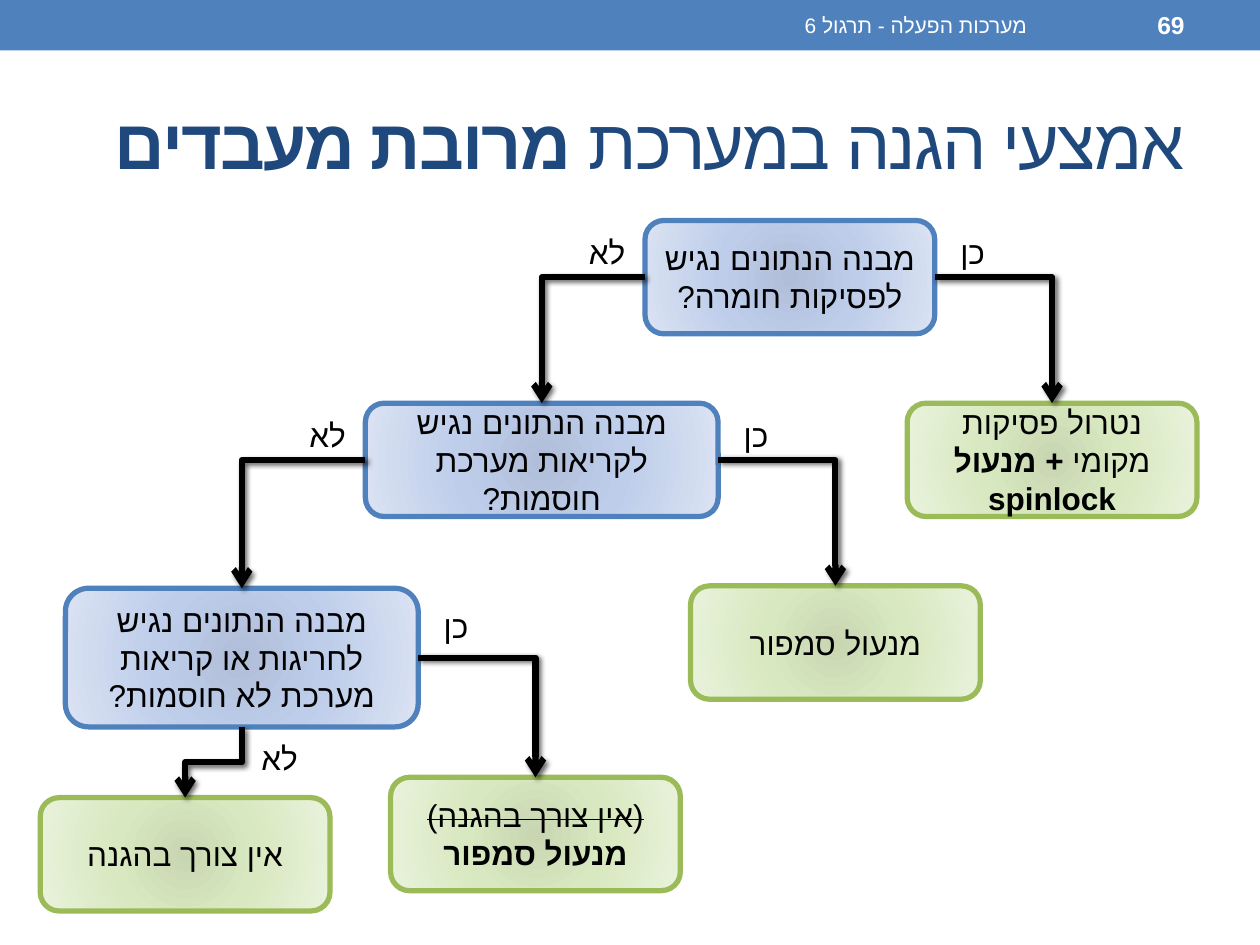
from lxml.etree import SubElement as Sub
from pptx import Presentation
from pptx.dml.color import RGBColor as Rgb
from pptx.enum.shapes import MSO_CONNECTOR as Conn, MSO_SHAPE as Kind
from pptx.enum.text import MSO_ANCHOR as Anchor, PP_ALIGN as Align
from pptx.oxml import parse_xml as to_xml
from pptx.oxml.ns import nsdecls, qn
from pptx.util import Pt

BLUE = ("4F81BD", ("B0BED9", "BECDEA", "DBE3F3"))
GREEN = ("9BBB59", ("C8D7B2", "D8E8C0", "E9F3DC"))
TOP, LEFT, FOOT, RIGHT = range(4)


def color(fmt, code):
    """Set a colour format from a hex string."""
    fmt.rgb = Rgb.from_string(code)


def write(shape, *parts, size=18, ink="000000", align=Align.CENTER,
          anchor=Anchor.MIDDLE, space=0):
    """Write one right-to-left paragraph from (text, style) parts."""
    frame = shape.text_frame
    frame.word_wrap = True
    frame.vertical_anchor = anchor
    para = frame.paragraphs[0]
    para.alignment = align
    para._p.get_or_add_pPr().set("rtl", "1")
    for text, style in parts:
        if text == "\n":
            para.add_line_break()
            continue
        run = para.add_run()
        run.text = text
        font = run.font
        font.name, font.size, font.bold = "Arial", Pt(size), style == "bold"
        color(font.color, ink)
        props = run._r.get_or_add_rPr()
        props.set("lang", "he-IL")
        if style == "strike":
            props.set("strike", "sngStrike")
        if space:
            props.set("spc", str(space))
        Sub(props, qn("a:cs")).set("typeface", "Arial")


def label(slide, x, y, w, h, *parts, **style):
    """Place a text box and write in it."""
    write(slide.shapes.add_textbox(Pt(x), Pt(y), Pt(w), Pt(h)), *parts, **style)


def sign(slide, x, y, word):
    """Place a yes or no label."""
    label(slide, x, y, 43.2, 28.8, (word, ""), anchor=Anchor.TOP)


def box(slide, x, y, w, h, tone, *parts):
    """Draw a rounded box with a radial gradient."""
    edge, shades = tone
    shape = slide.shapes.add_shape(Kind.ROUNDED_RECTANGLE, Pt(x), Pt(y), Pt(w), Pt(h))
    shape.shadow.inherit = False
    stops = "".join(f'<a:gs pos="{pos}"><a:srgbClr val="{shade}"/></a:gs>'
                    for pos, shade in zip((0, 45000, 100000), shades))
    sides = " ".join(f'{side}="100000"' for side in "ltrb")
    shape._element.spPr.insert(2, to_xml(
        f'<a:gradFill {nsdecls("a")} rotWithShape="1"><a:gsLst>{stops}</a:gsLst>'
        f'<a:path path="circle"><a:fillToRect {sides}/></a:path></a:gradFill>'))
    color(shape.line.color, edge)
    shape.line.width = Pt(3)
    write(shape, *parts)
    return shape


def leaf(slide, x, y, *parts):
    """Draw a green answer box."""
    return box(slide, x, y, 165.6, 64.8, GREEN, *parts)


def ask(slide, x, y, w, h, text, gap=3.6, below=False):
    """Draw a blue question box with its yes and no labels."""
    shape = box(slide, x, y, w, h, BLUE, (text, ""))
    sign(slide, x + w, y + gap, "כן")
    if below:
        sign(slide, x + w / 2, y + h + gap / 2, "לא")
    else:
        sign(slide, x - 43.2, y + gap, "לא")
    return shape


def link(slide, start, site, end):
    """Join a side of one box to the top of another with a bent arrow."""
    line = slide.shapes.add_connector(Conn.ELBOW, 0, 0, 0, 0)
    line.begin_connect(start, site)
    line.end_connect(end, TOP)
    color(line.line.color, "000000")
    line.line.width = Pt(3.5)
    props = line._element.spPr
    frame = props.find(qn("a:xfrm"))
    if site == FOOT:
        x, y, w, h = line.left, line.top, line.width, line.height
        line.left, line.top = x + (w - h) // 2, y + (h - w) // 2
        line.width, line.height = h, w
        frame.attrib.pop("flipH", None)
        frame.set("rot", "5400000")
    else:
        props.find(qn("a:prstGeom")).set("prst", "bentConnector2")
        if site == LEFT:
            frame.attrib.pop("flipH", None)
            frame.set("rot", "10800000")
            frame.set("flipV", "1")
    Sub(props.find(qn("a:ln")), qn("a:tailEnd")).set("type", "arrow")
    props.append(to_xml(
        f'<a:effectLst {nsdecls("a")}><a:outerShdw blurRad="{Pt(3)}" dist="{Pt(2)}" '
        'dir="2700000" algn="tl" rotWithShape="0"><a:srgbClr val="000000">'
        '<a:alpha val="60000"/></a:srgbClr></a:outerShdw></a:effectLst>'))


def head(slide, w):
    """Draw the top band, its texts and the title."""
    band = slide.shapes.add_shape(Kind.RECTANGLE, 0, 0, Pt(w), Pt(28.8))
    band.shadow.inherit = False
    band.fill.solid()
    color(band.fill.fore_color, "4F81BD")
    band.line.fill.background()
    label(slide, 270, 1.4, 324, 26, ("מערכות הפעלה - תרגול 6", ""),
          size=12, ink="FFFFFF", align=Align.RIGHT)
    label(slide, 600, 1.4, 84, 26, ("69", "bold"),
          size=14, ink="FFFFFF", align=Align.RIGHT)
    label(slide, 36, 42, w - 72, 77.8, ("אמצעי הגנה במערכת ", ""),
          ("מרובת מעבדים", "bold"), size=40, ink="1F497D",
          align=Align.RIGHT, space=-100)


def tree(slide, x, y):
    """Draw the decision tree from its top left corner."""
    root = ask(slide, x + 345.6, y, 165.6, 64.8, "מבנה הנתונים נגיש לפסיקות חומרה?")
    calls = ask(slide, x + 185.8, y + 104.4, 201.6, 64.8,
                "מבנה הנתונים נגיש לקריאות מערכת חוסמות?")
    traps = ask(slide, x + 14.4, y + 210.2, 201.6, 79.2,
                "מבנה הנתונים נגיש לחריגות או קריאות מערכת לא חוסמות?",
                gap=7.2, below=True)
    spin = leaf(slide, x + 495.4, y + 104.4, ("נטרול פסיקות מקומי ", ""),
                ("+ מנעול spinlock", "bold"))
    lock = leaf(slide, x + 371.6, y + 208.8, ("מנעול סמפור", ""))
    both = leaf(slide, x + 200.2, y + 318.2, ("(אין צורך בהגנה)", "strike"),
                ("\n", ""), ("מנעול סמפור", "bold"))
    none = leaf(slide, x, y + 329.8, ("אין צורך בהגנה", ""))
    for start, site, end in ((root, LEFT, calls), (root, RIGHT, spin),
                             (calls, LEFT, traps), (calls, RIGHT, lock),
                             (traps, RIGHT, both), (traps, FOOT, none)):
        link(slide, start, site, end)


deck = Presentation()
deck.slide_width, deck.slide_height = Pt(720), Pt(540)
page = deck.slides.add_slide(deck.slide_layouts[6])
head(page, 720)
tree(page, 23, 126)
deck.save("out.pptx")
